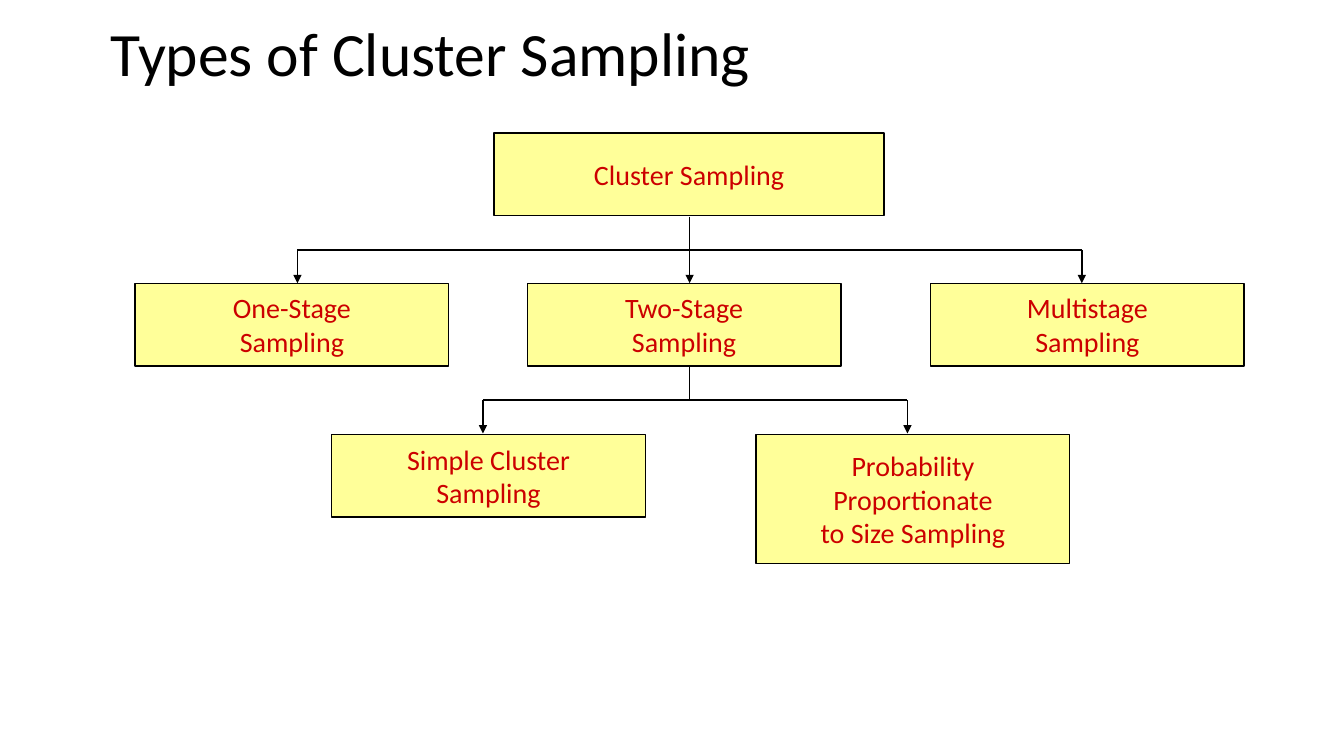
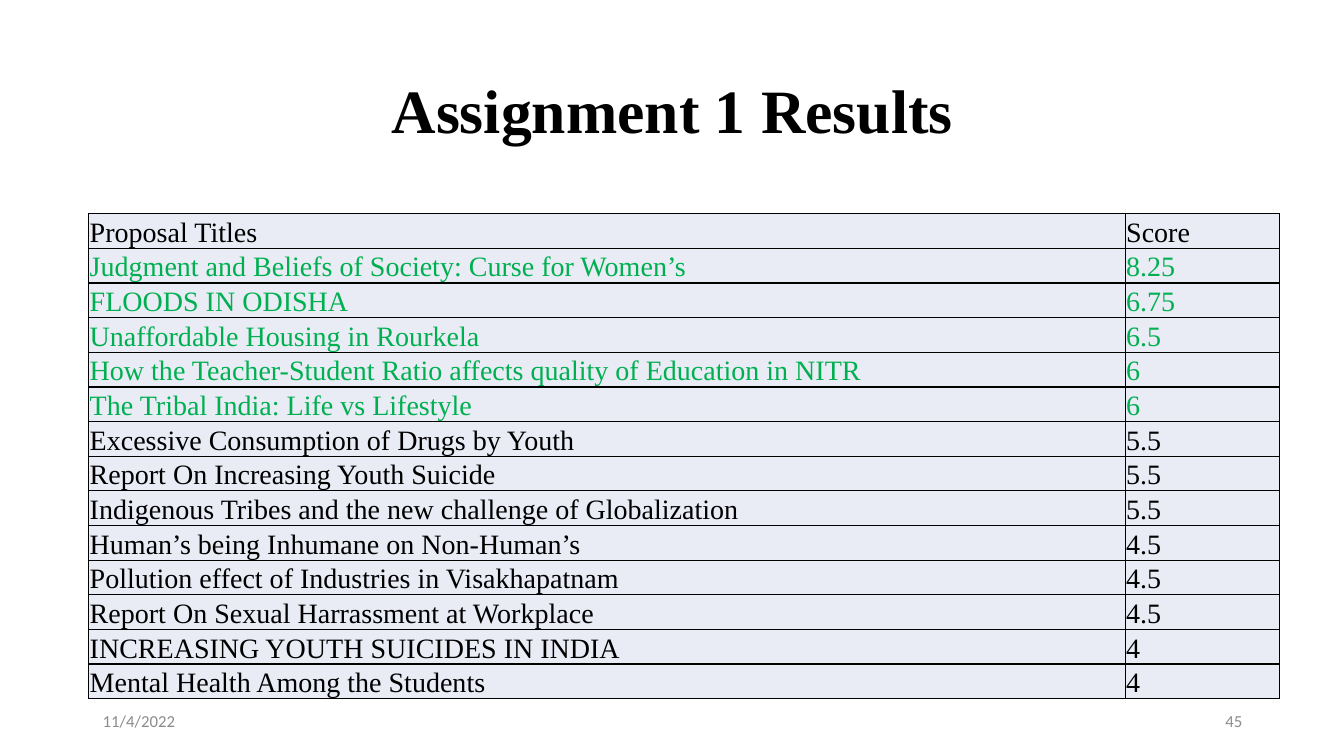
from pptx import Presentation
from pptx.dml.color import RGBColor
from pptx.enum.shapes import MSO_CONNECTOR, MSO_SHAPE
from pptx.enum.text import MSO_ANCHOR, MSO_AUTO_SIZE, PP_ALIGN
from pptx.oxml.ns import qn
from pptx.util import Inches, Pt
from lxml.etree import SubElement

BLACK, RED, GREEN, GREY = "000000", "CC0000", "00B050", "8C8C8C"
YELLOW, PALE_BLUE = "FFFF99", "E9EBF5"
SANS, SERIF = "Calibri", "Times New Roman"

LEVEL_ONE = [
    ("One-Stage\nSampling", 1.34),
    ("Two-Stage\nSampling", 5.23),
    ("Multistage\nSampling", 9.23),
]
LEVEL_TWO = [
    ("Simple Cluster\nSampling", 3.29, 0.82),
    ("Probability\nProportionate\nto Size Sampling", 7.5, 1.28),
]
PASS_SCORE = 6
PROPOSALS = [
    ("Judgment and Beliefs of Society: Curse for Women’s", 8.25),
    ("FLOODS IN ODISHA", 6.75),
    ("Unaffordable Housing in Rourkela", 6.5),
    ("How the Teacher-Student Ratio affects quality of Education in NITR", 6),
    ("The Tribal India: Life vs Lifestyle", 6),
    ("Excessive Consumption of Drugs by Youth", 5.5),
    ("Report On Increasing Youth Suicide", 5.5),
    ("Indigenous Tribes and the new challenge of Globalization", 5.5),
    ("Human’s being Inhumane on Non-Human’s", 4.5),
    ("Pollution effect of Industries in Visakhapatnam", 4.5),
    ("Report On Sexual Harrassment at Workplace", 4.5),
    ("INCREASING YOUTH SUICIDES IN INDIA", 4),
    ("Mental Health Among the Students", 4),
]


def rgb(color):
    """Turn a hex string into a colour."""
    return RGBColor.from_string(color)


class Deck:
    """Hold the shared style and the current slide."""

    def __init__(self):
        """Start an empty widescreen presentation."""
        self.prs = Presentation()
        self.prs.slide_width, self.prs.slide_height = Inches(13.33), Inches(7.5)

    def set_text(self, frame, text, size, color, font=SANS, align=PP_ALIGN.LEFT, bold=False):
        """Fill a text frame with evenly formatted paragraphs."""
        frame.text = text
        for paragraph in frame.paragraphs:
            paragraph.alignment = align
            paragraph.font.size, paragraph.font.name = Pt(size), font
            paragraph.font.bold = bold
            paragraph.font.color.rgb = rgb(color)

    def new_slide(self, heading, left, top, width, height, **style):
        """Add a title-only slide and place its title."""
        self.slide = self.prs.slides.add_slide(self.prs.slide_layouts[5])
        title = self.slide.shapes.title
        title.left, title.top = Inches(left), Inches(top)
        title.width, title.height = Inches(width), Inches(height)
        frame = title.text_frame
        self.set_text(frame, heading, 44, BLACK, **style)
        frame.auto_size = MSO_AUTO_SIZE.NONE
        frame.vertical_anchor = MSO_ANCHOR.MIDDLE
        frame.paragraphs[0].line_spacing = 0.9

    def box(self, label, left, top, width=3.11, height=0.82):
        """Add a labelled yellow box."""
        box = self.slide.shapes.add_shape(
            MSO_SHAPE.RECTANGLE, Inches(left), Inches(top), Inches(width), Inches(height))
        box.shadow.inherit = False
        box.fill.solid()
        box.fill.fore_color.rgb = rgb(YELLOW)
        box.line.color.rgb, box.line.width = rgb(BLACK), Pt(1)
        box.text_frame.vertical_anchor = MSO_ANCHOR.MIDDLE
        self.set_text(box.text_frame, label, 20, RED, align=PP_ALIGN.CENTER)

    def line(self, x1, y1, x2, y2, arrow=False):
        """Add a thin straight line, with an arrowhead at its end if asked."""
        line = self.slide.shapes.add_connector(
            MSO_CONNECTOR.STRAIGHT, Inches(x1), Inches(y1), Inches(x2), Inches(y2))
        line.line.color.rgb, line.line.width = rgb(BLACK), Pt(1)
        properties = line._element.spPr
        if arrow:
            SubElement(properties.find(qn("a:ln")), qn("a:tailEnd"), type="triangle")
        SubElement(properties, qn("a:effectLst"))

    def branch(self, parent_x, top, child_xs, step=0.33):
        """Link a parent to its children with a stem, a bar and arrows."""
        bar = top + step
        self.line(parent_x, top, parent_x, bar)
        self.line(min(child_xs), bar, max(child_xs), bar)
        for x in child_xs:
            self.line(x, bar, x, bar + step, arrow=True)

    def footer(self, text, left, align):
        """Add a small grey text at the foot of the slide."""
        footer = self.slide.shapes.add_textbox(
            Inches(left), Inches(6.95), Inches(3), Inches(0.4))
        footer.text_frame.word_wrap = True
        footer.text_frame.vertical_anchor = MSO_ANCHOR.MIDDLE
        self.set_text(footer.text_frame, text, 12, GREY, align=align)

    def cell(self, cell, text, color):
        """Fill and frame one table cell."""
        cell.margin_left = cell.margin_right = cell.margin_top = Inches(0.01)
        cell.margin_bottom = 0
        cell.vertical_anchor = MSO_ANCHOR.BOTTOM
        self.set_text(cell.text_frame, text, 20, color, font=SERIF)
        properties = cell._tc.get_or_add_tcPr()
        for side in ("a:lnL", "a:lnR", "a:lnT", "a:lnB"):
            border = SubElement(properties, qn(side), w=str(Pt(1)))
            fill = SubElement(border, qn("a:solidFill"))
            SubElement(fill, qn("a:srgbClr"), val=BLACK)
        cell.fill.solid()
        cell.fill.fore_color.rgb = rgb(PALE_BLUE)

    def table(self, rows, left, top, widths, height):
        """Add a bordered table from rows of texts and a colour."""
        table = self.slide.shapes.add_table(
            len(rows), len(widths), Inches(left), Inches(top),
            Inches(sum(widths)), Inches(height)).table
        table.first_row = table.horz_banding = False
        for column, width in zip(table.columns, widths):
            column.width = Inches(width)
        for row, (texts, color) in zip(table.rows, rows):
            for cell, text in zip(row.cells, texts):
                self.cell(cell, text, color)


def main():
    """Build both slides and save them."""
    deck = Deck()

    deck.new_slide("Types of Cluster Sampling", 1, 0.16, 11.36, 0.8)
    deck.box("Cluster Sampling", 4.9, 1.32, width=3.87)
    deck.branch(6.84, 2.15, [2.95, 6.84, 10.73])
    for label, left in LEVEL_ONE:
        deck.box(label, left, 2.81)
    deck.branch(6.84, 3.64, [4.79, 9])
    for label, left, height in LEVEL_TWO:
        deck.box(label, left, 4.31, height=height)

    deck.new_slide("Assignment 1 Results", 0.92, 0.4, 11.5, 1.45,
                   font=SERIF, align=PP_ALIGN.CENTER, bold=True)
    deck.footer("11/4/2022", 0.92, PP_ALIGN.LEFT)
    deck.footer("45", 9.42, PP_ALIGN.RIGHT)
    rows = [(("Proposal Titles", "Score"), BLACK)]
    for proposal, score in PROPOSALS:
        rows.append(((proposal, str(score)), GREEN if score >= PASS_SCORE else BLACK))
    deck.table(rows, 0.88, 2.12, [10.28, 1.53], 4.75)

    deck.prs.save("out.pptx")


if __name__ == "__main__":
    main()
